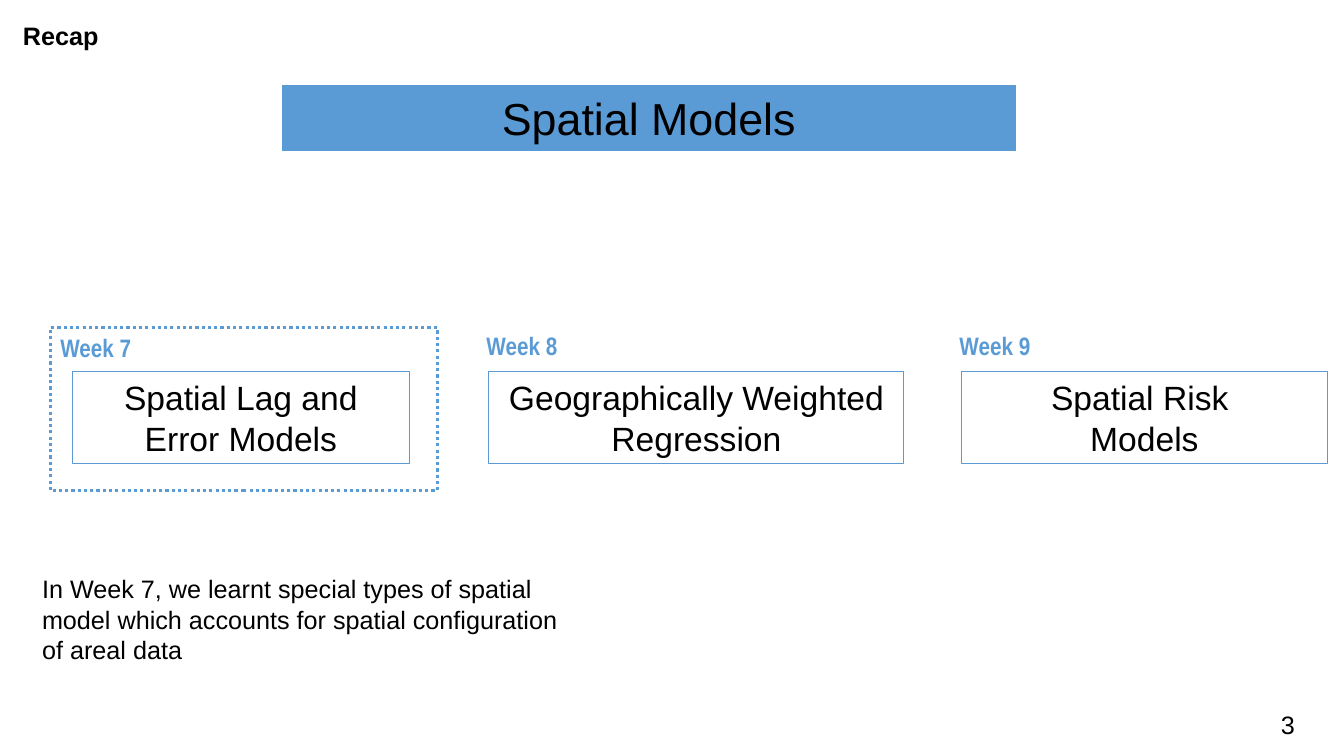
from pptx import Presentation
from pptx import util as u
from pptx.dml.color import RGBColor
from pptx.enum import dml, shapes, text

BLUE, BLACK, WHITE = "5B9BD5", "000000", "FFFFFF"

# Places are left, top, width, height in centimetres
TITLE = ("Spatial Models", (7.11, 2.16, 18.49, 1.63))
NOTES = [
    ("Recap", (0.33, 0.38, 6.38, 1.02), True),
    ("In Week 7, we learnt special types of spatial model which accounts "
     "for spatial configuration of areal data", (0.81, 14.33, 13.87, 2.57), False),
    ("3", (32.03, 17.75, 1.5, 0.41), False),
]
# Week, frame left, top, width, frame colour; model, box left, box width
WEEKS = [
    ("Week 7", 1.27, 8.26, 9.75, BLUE, "Spatial Lag and Error Models", 1.83, 8.48),
    ("Week 8", 12.01, 8.2, 11.35, WHITE, "Geographically Weighted Regression", 12.32, 10.46),
    ("Week 9", 23.93, 8.2, 9.93, WHITE, "Spatial Risk \nModels", 24.23, 9.22),
]
FRAME_HEIGHT = 4.11
MODEL_TOP, MODEL_HEIGHT = 9.37, 2.31


def rgb(value):
    return RGBColor.from_string(value)


def write(box, words, size, color=BLACK, bold=False, font="Arial",
          align=text.PP_ALIGN.LEFT, anchor=text.MSO_ANCHOR.TOP):
    frame = box.text_frame
    frame.word_wrap = True
    frame.vertical_anchor = anchor
    frame.text = words
    for para in frame.paragraphs:
        para.alignment = align
        para.font.name = font
        para.font.size = u.Pt(size)
        para.font.bold = bold
        para.font.color.rgb = rgb(color)


def add_rectangle(page, place, line, width=0.75, fill=None):
    box = page.shapes.add_shape(shapes.MSO_SHAPE.RECTANGLE, *map(u.Cm, place))
    box.shadow.inherit = False
    if fill:
        box.fill.solid()
        box.fill.fore_color.rgb = rgb(fill)
    else:
        box.fill.background()
    box.line.color.rgb = rgb(line)
    box.line.width = u.Pt(width)
    return box


def main():
    deck = Presentation()
    deck.slide_width, deck.slide_height = u.Cm(33.87), u.Cm(19.05)
    page = deck.slides.add_slide(deck.slide_layouts[6])
    centred = {"align": text.PP_ALIGN.CENTER, "anchor": text.MSO_ANCHOR.MIDDLE}

    title, place = TITLE
    write(add_rectangle(page, place, BLUE, fill=BLUE), title, 32, **centred)

    for week, left, top, width, color, model, model_left, model_width in WEEKS:
        place = (model_left, MODEL_TOP, model_width, MODEL_HEIGHT)
        write(add_rectangle(page, place, BLUE), model, 24, **centred)
        frame = add_rectangle(page, (left, top, width, FRAME_HEIGHT), color, 2.25)
        frame.line.dash_style = dml.MSO_LINE.ROUND_DOT
        write(frame, week, 18, BLUE, True, "Arial Narrow")

    for words, place, bold in NOTES:
        write(page.shapes.add_textbox(*map(u.Cm, place)), words, 18, bold=bold)

    deck.save("out.pptx")


if __name__ == "__main__":
    main()
